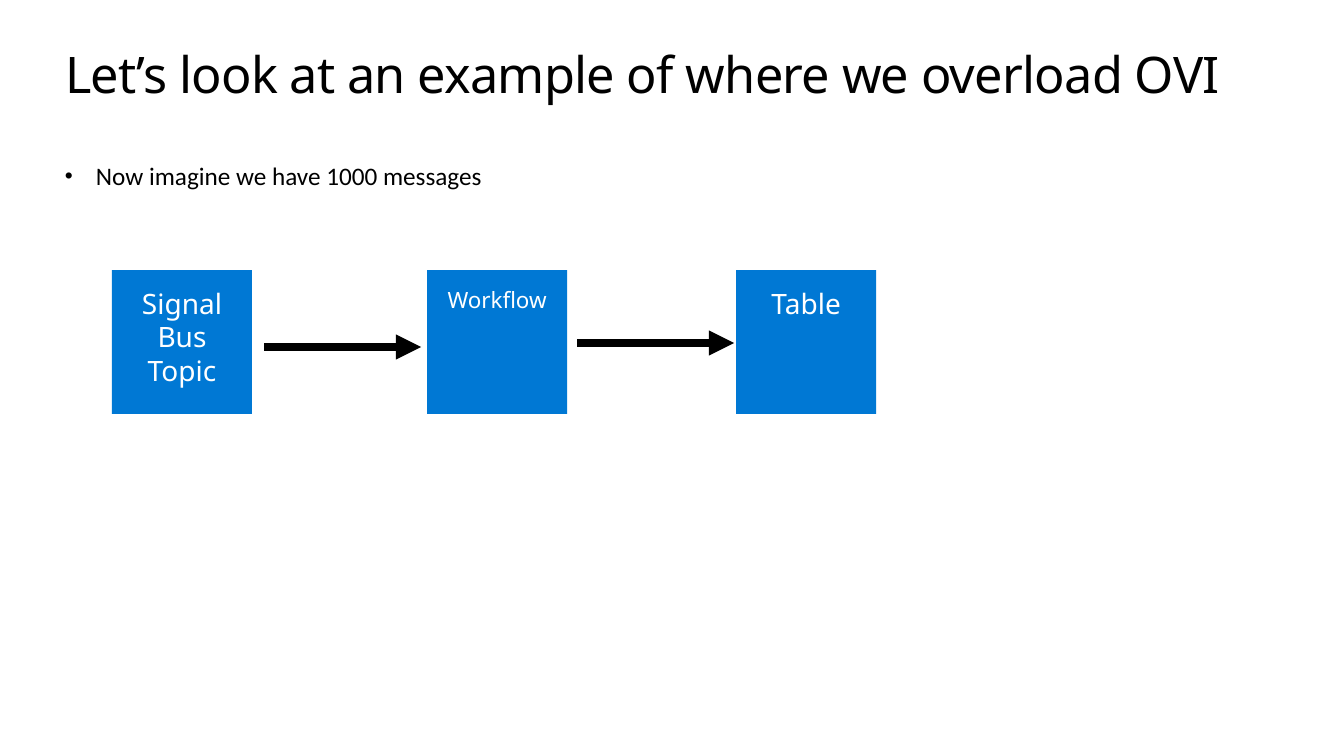
import pptx
import pptx.util
import pptx.dml.color
import pptx.enum.shapes
import pptx.enum.text
import pptx.oxml.ns
import lxml.etree

SCALE = 914400 / 100.8
COLORS = {"text": "000000", "stage": "0078D4", "label": "FFFFFF"}
HEADING_FONT, BODY_FONT = "Noto Sans", "Calibri"

TITLE = "Let’s look at an example of where we overload OVI"
TITLE_BOX = (65, 50, 1215, 61)
BULLET = "Now imagine we have 1000 messages"
BULLET_BOX = (65, 158, 1173, 31)
BULLET_INDENT = 31

# label, left edge, font size
STAGES = [("Signal Bus Topic", 112, 20), ("Workflow", 427, 16), ("Table", 736, 20)]
STAGE_TOP, STAGE_WIDTH, STAGE_HEIGHT = 270, 140, 144
STAGE_MARGINS = (20, 16, 20, 16)
# left end, height on the slide
ARROWS = [(264, 347), (577, 343)]
ARROW_LENGTH = 157


def px(*lengths):
    """Turn pixel lengths into a list of EMU lengths."""
    return [pptx.util.Emu(round(length * SCALE)) for length in lengths]


def color(name):
    """Look up a palette colour."""
    return pptx.dml.color.RGBColor.from_string(COLORS[name])


def set_frame(frame, margins, grow=False):
    """Set margins, wrapping, top anchor and autofit of a text frame."""
    (frame.margin_left, frame.margin_top,
     frame.margin_right, frame.margin_bottom) = px(*margins)
    frame.word_wrap = True
    frame.vertical_anchor = pptx.enum.text.MSO_ANCHOR.TOP
    fit = pptx.enum.text.MSO_AUTO_SIZE
    frame.auto_size = fit.SHAPE_TO_FIT_TEXT if grow else fit.NONE


def add_run(paragraph, words, font, size, color_name):
    """Add one formatted run and return it."""
    run = paragraph.add_run()
    run.text = words
    run.font.name = font
    run.font.size = pptx.util.Pt(size)
    run.font.color.rgb = color(color_name)
    return run


def add_xml(parent, tag, **attributes):
    """Append a DrawingML child element."""
    return lxml.etree.SubElement(parent, pptx.oxml.ns.qn(tag), attributes)


def add_title(slide):
    """Place and fill the title placeholder."""
    title = slide.shapes.title
    title.left, title.top, title.width, title.height = px(*TITLE_BOX)
    set_frame(title.text_frame, (0, 0, 0, 0), grow=True)
    paragraph = title.text_frame.paragraphs[0]
    paragraph.alignment = pptx.enum.text.PP_ALIGN.LEFT
    paragraph.line_spacing = 0.9
    run = add_run(paragraph, TITLE, HEADING_FONT, 36, "text")
    run.font._element.set("spc", "-50")


def add_bullet(slide):
    """Add the bulleted line under the title."""
    frame = slide.shapes.add_textbox(*px(*BULLET_BOX)).text_frame
    set_frame(frame, (0, 0, 0, 0), grow=True)
    paragraph = frame.paragraphs[0]
    paragraph.line_spacing = 1.07
    paragraph.space_before = pptx.util.Pt(12.2)
    paragraph.space_after = pptx.util.Pt(8)
    properties = paragraph._p.get_or_add_pPr()
    indent = px(BULLET_INDENT)[0]
    properties.set("marL", str(indent))
    properties.set("indent", str(-indent))
    bullet_color = add_xml(properties, "a:buClr")
    add_xml(bullet_color, "a:srgbClr", val=COLORS["text"])
    add_xml(properties, "a:buSzPct", val="90000")
    add_xml(properties, "a:buFont", typeface="Arial")
    add_xml(properties, "a:buChar", char="•")
    add_run(paragraph, BULLET, BODY_FONT, 18, "text")


def add_stage(slide, label, left, size):
    """Add one labelled square of the flow."""
    stage = slide.shapes.add_shape(
        pptx.enum.shapes.MSO_SHAPE.RECTANGLE,
        *px(left, STAGE_TOP, STAGE_WIDTH, STAGE_HEIGHT))
    stage.shadow.inherit = False
    stage.fill.solid()
    stage.fill.fore_color.rgb = color("stage")
    stage.line.fill.background()
    set_frame(stage.text_frame, STAGE_MARGINS)
    paragraph = stage.text_frame.paragraphs[0]
    paragraph.alignment = pptx.enum.text.PP_ALIGN.CENTER
    add_run(paragraph, label, HEADING_FONT, size, "label")


def add_arrow(slide, left, level):
    """Add one horizontal arrow between stages."""
    arrow = slide.shapes.add_connector(
        pptx.enum.shapes.MSO_CONNECTOR.STRAIGHT,
        *px(left, level, left + ARROW_LENGTH, level))
    arrow.line.color.rgb = color("text")
    arrow.line.width = pptx.util.Pt(6)
    add_xml(arrow.line._get_or_add_ln(), "a:tailEnd", type="triangle")
    add_xml(arrow._element.spPr, "a:effectLst")


deck = pptx.Presentation()
deck.slide_width = pptx.util.Inches(13.33)
deck.slide_height = pptx.util.Inches(7.5)
flow_slide = deck.slides.add_slide(deck.slide_layouts[5])
add_title(flow_slide)
add_bullet(flow_slide)
for stage_row in STAGES:
    add_stage(flow_slide, *stage_row)
for arrow_row in ARROWS:
    add_arrow(flow_slide, *arrow_row)
deck.save("out.pptx")
